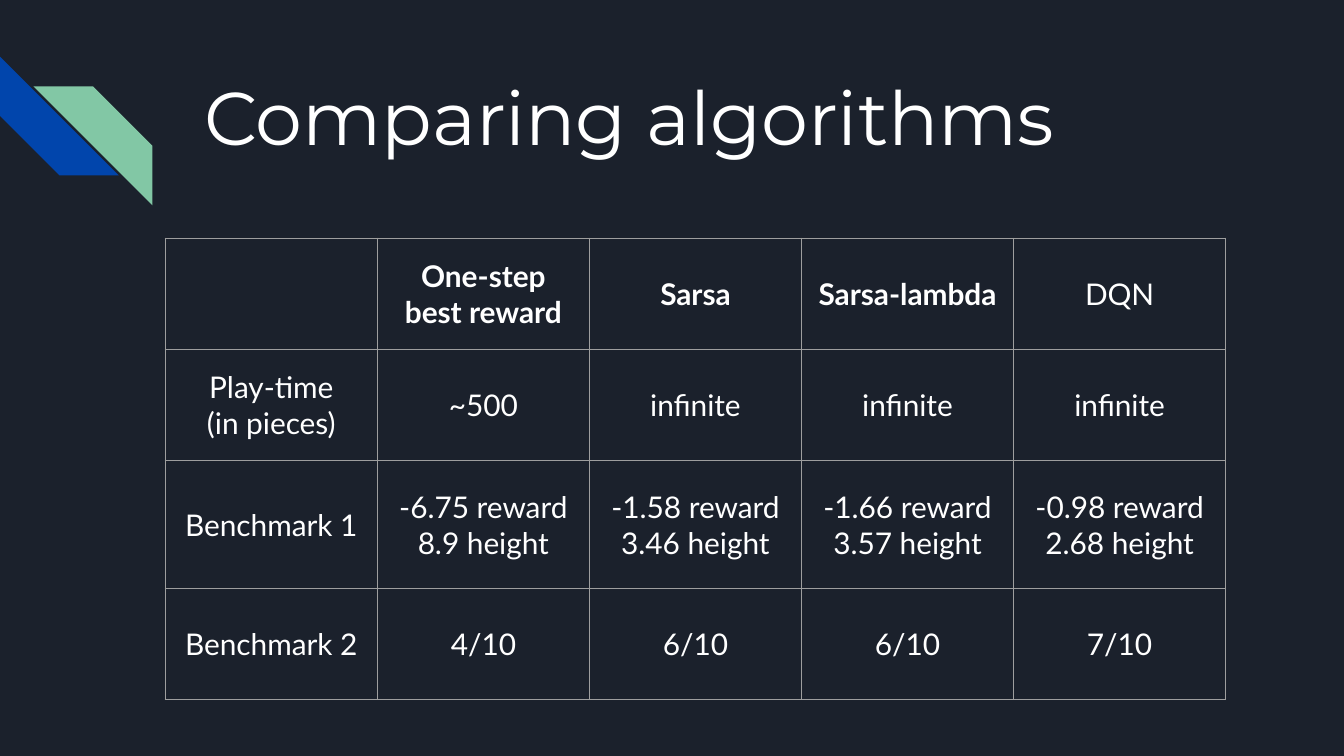
from dataclasses import dataclass
from typing import Any

from lxml import etree
from pptx import Presentation
from pptx.dml.color import RGBColor
from pptx.enum.shapes import MSO_SHAPE
from pptx.enum.text import MSO_ANCHOR, PP_ALIGN
from pptx.oxml.ns import qn
from pptx.slide import Slide
from pptx.table import _Cell
from pptx.text.text import TextFrame
from pptx.util import Inches, Length, Pt

NAVY = RGBColor(0x1B, 0x21, 0x2C)
BLUE = RGBColor(0x01, 0x45, 0xAC)
GREEN = RGBColor(0x82, 0xC7, 0xA5)
WHITE = RGBColor(0xFF, 0xFF, 0xFF)
GREY = RGBColor(0x9E, 0x9E, 0x9E)

STRIPE = MSO_SHAPE.DIAGONAL_STRIPE
CENTER, LEFT = PP_ALIGN.CENTER, PP_ALIGN.LEFT
TOP, MIDDLE = MSO_ANCHOR.TOP, MSO_ANCHOR.MIDDLE

SLIDE_COLUMNS, SLIDE_ROWS = 100, 56.25
GRID_STEP = Inches(0.1)
BORDER_WIDTH = Pt(0.75)
BORDER_SIDES = ("a:lnL", "a:lnR", "a:lnT", "a:lnB")
MARGINS = dict.fromkeys(
    ("margin_left", "margin_right", "margin_top", "margin_bottom"), GRID_STEP
)
TITLE_FONT = {"name": "Montserrat", "size": Pt(40), "bold": False}
CELL_FONT = {"name": "Lato", "size": Pt(16), "bold": False}
HEADER_FONT = CELL_FONT | {"bold": True}

COLUMN_WIDTH = 15.78
ROW_HEIGHTS = (8.28, 8.28, 9.5, 8.28)
RESULTS = (
    ("", "One-step best reward", "Sarsa", "Sarsa-lambda", "DQN"),
    ("Play-time\n(in pieces)", "~500", "infinite", "infinite", "infinite"),
    (
        "Benchmark 1",
        "-6.75 reward\n8.9 height",
        "-1.58 reward\n3.46 height",
        "-1.66 reward\n3.57 height",
        "-0.98 reward\n2.68 height",
    ),
    ("Benchmark 2", "4/10", "6/10", "6/10", "7/10"),
)
BOLD_HEADERS = RESULTS[0][1:4]


@dataclass(frozen=True)
class GridBox:
    column: float
    row: float
    columns: float
    rows: float

    def lengths(self) -> tuple[Length, ...]:
        return tuple(map(grid, (self.column, self.row, self.columns, self.rows)))


@dataclass(frozen=True)
class Stripe:
    box: GridBox
    color: RGBColor
    rotation: float = 0
    mirrored: bool = False


STRIPES = (
    Stripe(GridBox(0, 4.2, 8.85, 8.85), BLUE, rotation=270),
    Stripe(GridBox(2.5, 6.43, 8.85, 8.85), GREEN, mirrored=True),
)
TITLE_BOX = GridBox(14.2, 4.3, 77, 10)
TABLE_BOX = GridBox(
    12.3, 17.73, COLUMN_WIDTH * len(RESULTS[0]), sum(ROW_HEIGHTS)
)


def grid(steps: float) -> Length:
    return Length(round(steps * GRID_STEP))


def apply_format(target: Any, values: dict[str, Any]) -> None:
    for name, value in values.items():
        setattr(target, name, value)


def write_text(
    frame: TextFrame, text: str, font: dict[str, Any], alignment: PP_ALIGN
) -> None:
    frame.text = text
    for paragraph in frame.paragraphs:
        paragraph.alignment = alignment
        for run in paragraph.runs:
            apply_format(run.font, font)
            run.font.color.rgb = WHITE


def draw_stripe(slide: Slide, stripe: Stripe) -> None:
    shape = slide.shapes.add_shape(STRIPE, *stripe.box.lengths())
    shape.adjustments[0] = 0.5
    shape.rotation = stripe.rotation
    shape.shadow.inherit = False
    shape.fill.solid()
    shape.fill.fore_color.rgb = stripe.color
    shape.line.fill.background()
    if stripe.mirrored:
        shape.element.spPr.xfrm.set("flipH", "1")


def draw_title(slide: Slide, text: str) -> None:
    frame = slide.shapes.add_textbox(*TITLE_BOX.lengths()).text_frame
    apply_format(frame, MARGINS | {"word_wrap": True, "vertical_anchor": TOP})
    write_text(frame, text, TITLE_FONT, LEFT)


def draw_borders(cell: _Cell) -> None:
    properties = cell._tc.get_or_add_tcPr()
    for index, side in enumerate(BORDER_SIDES):
        line = etree.Element(qn(side), w=str(BORDER_WIDTH))
        fill = etree.SubElement(line, qn("a:solidFill"))
        etree.SubElement(fill, qn("a:srgbClr"), val=str(GREY))
        properties.insert(index, line)


def draw_table(slide: Slide) -> None:
    table = slide.shapes.add_table(
        len(RESULTS), len(RESULTS[0]), *TABLE_BOX.lengths()
    ).table
    apply_format(table, {"first_row": False, "horz_banding": False})
    for column in table.columns:
        column.width = grid(COLUMN_WIDTH)
    for row, height, texts in zip(table.rows, ROW_HEIGHTS, RESULTS):
        row.height = grid(height)
        for cell, text in zip(row.cells, texts):
            apply_format(cell, MARGINS | {"vertical_anchor": MIDDLE})
            cell.fill.background()
            draw_borders(cell)
            font = HEADER_FONT if text in BOLD_HEADERS else CELL_FONT
            write_text(cell.text_frame, text, font, CENTER)


def main() -> None:
    presentation = Presentation()
    presentation.slide_width = grid(SLIDE_COLUMNS)
    presentation.slide_height = grid(SLIDE_ROWS)
    slide = presentation.slides.add_slide(presentation.slide_layouts[6])
    slide.background.fill.solid()
    slide.background.fill.fore_color.rgb = NAVY
    for stripe in STRIPES:
        draw_stripe(slide, stripe)
    draw_title(slide, "Comparing algorithms")
    draw_table(slide)
    presentation.save("out.pptx")


if __name__ == "__main__":
    main()
